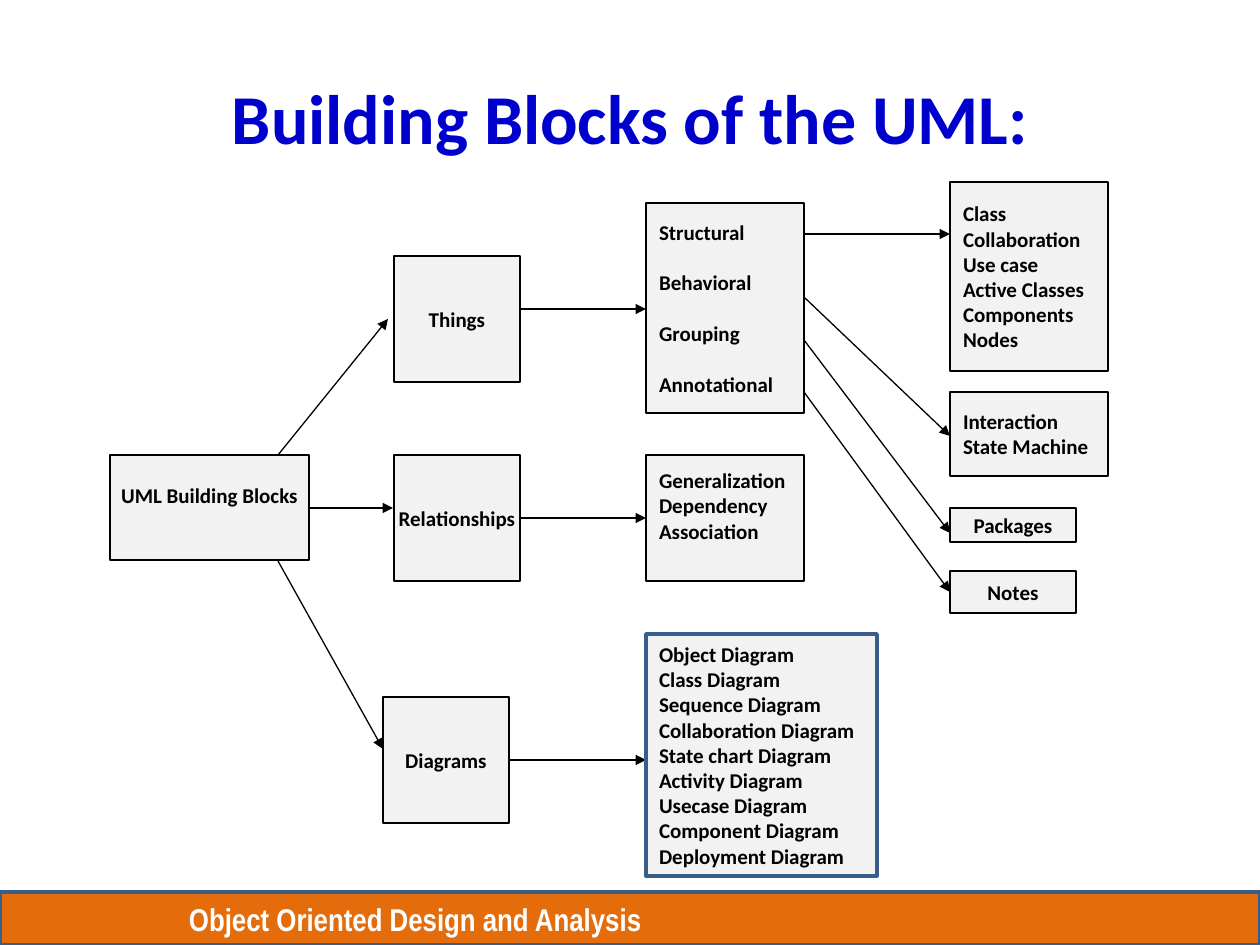
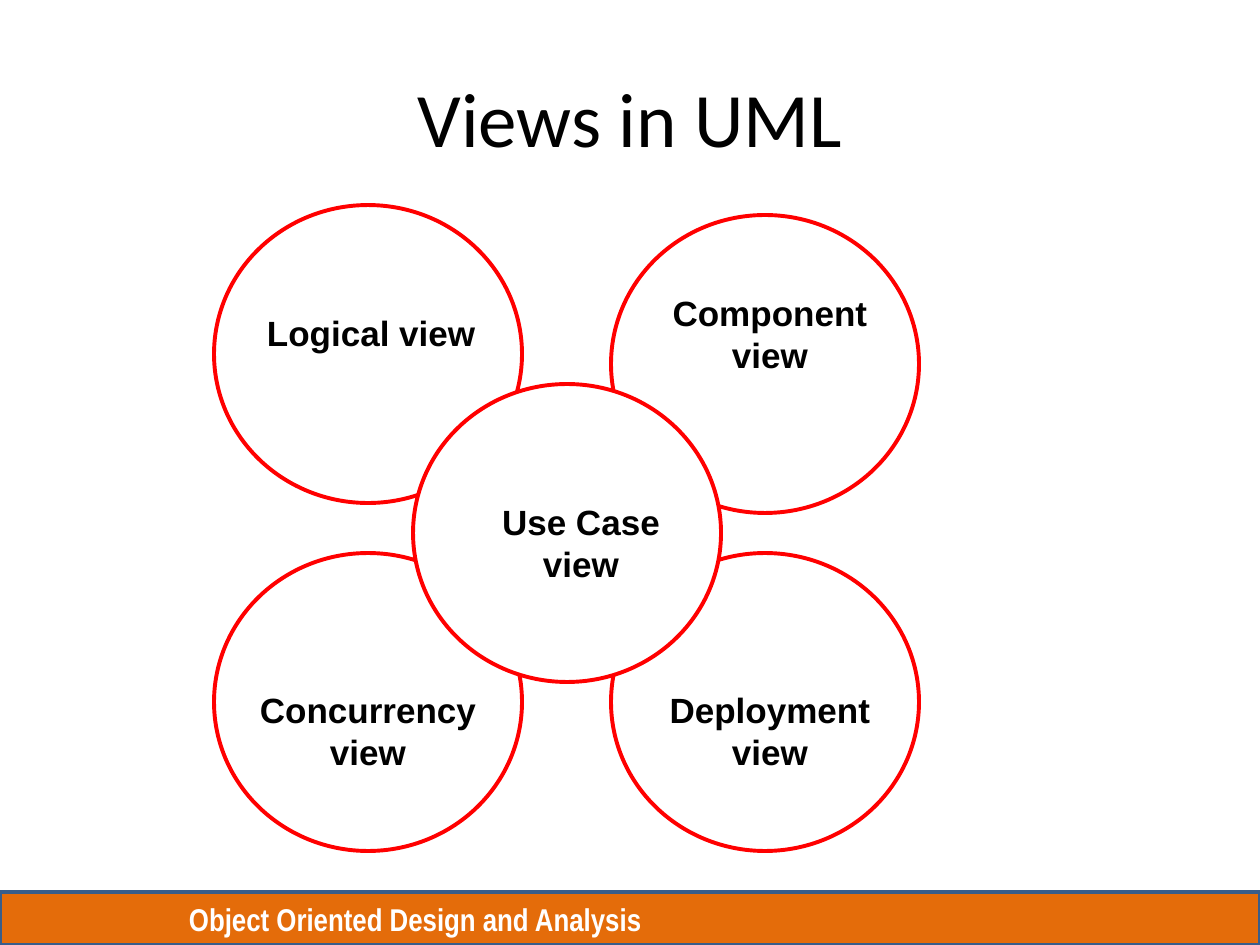
from lxml.etree import SubElement
from pptx import Presentation
from pptx.dml.color import RGBColor
from pptx.enum.shapes import MSO_CONNECTOR as CONN, MSO_SHAPE as SHAPE
from pptx.enum.text import MSO_ANCHOR as ANCHOR, PP_ALIGN as ALIGN
from pptx.oxml.ns import qn
from pptx.util import Pt

SCALE = 914400 / 126
BLACK, WHITE, RED, BLUE = "000000", "FFFFFF", "FF0000", "0000CC"
GREY, ORANGE, STEEL = "F2F2F2", "E46C0A", "385D8A"
LINE_HEIGHT = 25


def px(n):
    """Turn pixels into EMU."""
    return round(n * SCALE)


def rgb(color):
    """Turn a hex string into a colour."""
    return RGBColor.from_string(color)


def write(tf, text, size=12, font="Calibri", color=BLACK, bold=True,
          align=ALIGN.LEFT, anchor=ANCHOR.MIDDLE, gap=0, insets=(13, 6, 13, 6)):
    """Fill a text frame with one paragraph per line of text."""
    tf.word_wrap = True
    tf.vertical_anchor = anchor
    tf.margin_left, tf.margin_top, tf.margin_right, tf.margin_bottom = map(px, insets)
    for i, line in enumerate(text.split("\n")):
        p = tf.add_paragraph() if i else tf.paragraphs[0]
        p.alignment = align
        p.space_before = Pt(gap if i else 0)
        r = p.add_run()
        r.text = line
        r.font.size, r.font.name, r.font.bold = Pt(size), font, bold
        r.font.color.rgb = rgb(color)


def add_shape(slide, kind, box, fill, line, width):
    """Add a flat preset shape with the given fill and outline."""
    sp = slide.shapes.add_shape(kind, *map(px, box))
    sp.shadow.inherit = False
    if fill:
        sp.fill.solid()
        sp.fill.fore_color.rgb = rgb(fill)
    else:
        sp.fill.background()
    sp.line.color.rgb = rgb(line)
    sp.line.width = Pt(width)
    return sp


def add_arrow(slide, x1, y1, x2, y2):
    """Add a thin black arrow."""
    line = slide.shapes.add_connector(CONN.STRAIGHT, *map(px, (x1, y1, x2, y2)))
    line.line.color.rgb = rgb(BLACK)
    line.line.width = Pt(0.75)
    sp_pr = line.element.spPr
    SubElement(sp_pr.find(qn("a:ln")), qn("a:tailEnd"), type="triangle")
    SubElement(sp_pr, qn("a:effectLst"))


def add_title(slide, text, **fmt):
    """Place and fill the title placeholder."""
    title = slide.shapes.title
    title.left, title.top, title.width, title.height = map(px, (63, 38, 1134, 157))
    write(title.text_frame, text, align=ALIGN.CENTER, **fmt)


def add_footer(slide, box):
    """Draw the footer band and move it to the shared layout."""
    band = add_shape(slide, SHAPE.RECTANGLE, box, ORANGE, STEEL, 2)
    write(band.text_frame, "Object Oriented Design and Analysis", size=18,
          font="Arial Narrow", color=WHITE, insets=(189, 6, 13, 6))
    slide.slide_layout.element.cSld.spTree.insert(2, band.element)


def draw_blocks(slide, box):
    """Draw the tree of building blocks."""
    x0, y0 = box[:2]
    labels = [
        ("Things", 284, 74, 126, 126),
        ("Relationships", 284, 273, 126, 126),
        ("Diagrams", 273, 515, 126, 126),
        ("Packages", 840, 326, 126, 34),
        ("Notes", 840, 389, 126, 42),
    ]
    lists = [
        ("Class\nCollaboration\nUse case\nActive Classes\nComponents\nNodes",
         840, 0, 158, 189),
        ("Interaction\nState Machine", 840, 210, 158, 84),
    ]
    diagrams = "\n".join(f"{kind} Diagram" for kind in (
        "Object", "Class", "Sequence", "Collaboration", "State chart",
        "Activity", "Usecase", "Component", "Deployment"))
    arrows = [
        (199, 326, 283, 326), (410, 127, 536, 127), (694, 52, 840, 52),
        (694, 115, 840, 254), (694, 158, 840, 351), (694, 210, 840, 410),
        (410, 336, 536, 336), (399, 578, 536, 578),
        (168, 273, 278, 137), (168, 379, 273, 567),
    ]

    def block(text, x, y, w, h, line=BLACK, width=0.75, **fmt):
        """Add one grey block of text."""
        sp = add_shape(slide, SHAPE.RECTANGLE, (x0 + x, y0 + y, w, h), GREY, line, width)
        write(sp.text_frame, text, **fmt)

    raised = 6 + LINE_HEIGHT
    block("UML Building Blocks", 0, 273, 199, 105, align=ALIGN.CENTER,
          insets=(0, 6, 0, raised))
    for label in labels:
        block(*label, align=ALIGN.CENTER, insets=(0, 6, 0, 6))
    block("Structural\nBehavioral\nGrouping\nAnnotational", 536, 21, 158, 210, gap=14.6)
    block("Generalization\nDependency\nAssociation", 536, 273, 158, 126,
          insets=(13, 6, 0, raised))
    for names in lists:
        block(*names, insets=(13, 6, 0, 6))
    for x1, y1, x2, y2 in arrows:
        add_arrow(slide, x0 + x1, y0 + y1, x0 + x2, y0 + y2)
    block(diagrams, 536, 452, 231, 242, line=STEEL, width=2)


def draw_views(slide, box):
    """Draw four outer circles with the use case circle over them."""
    x0, y0 = box[:2]
    w, h = 308, 298
    views = [
        ("Concurrency view", 0, 348, 30, 129, 248, WHITE, ALIGN.CENTER),
        ("Deployment view", 397, 348, 40, 129, 238, None, ALIGN.CENTER),
        ("Logical view", 0, 0, 40, 100, 238, WHITE, ALIGN.LEFT),
        ("Component view", 397, 10, 40, 70, 238, WHITE, ALIGN.CENTER),
        ("Use Case view", 199, 179, 49, 110, 238, WHITE, ALIGN.CENTER),
    ]
    for text, x, y, dx, dy, text_w, fill, align in views:
        add_shape(slide, SHAPE.OVAL, (x0 + x, y0 + y, w, h), fill, RED, 2.25)
        text_h = 55 if align == ALIGN.LEFT else 97
        label = slide.shapes.add_textbox(
            *map(px, (x0 + x + dx, y0 + y + dy, text_w, text_h)))
        write(label.text_frame, text, size=20, font="Arial", align=align,
              anchor=ANCHOR.TOP)


def main():
    """Build and save the presentation."""
    prs = Presentation()
    prs.slide_width, prs.slide_height = px(1260), px(945)
    title_only = prs.slide_layouts[5]

    blocks = prs.slides.add_slide(title_only)
    add_footer(blocks, (0, 892, 1260, 53))
    add_title(blocks, "Building Blocks of the UML:", size=40, color=BLUE)
    draw_blocks(blocks, (110, 182, 998, 694))

    views = prs.slides.add_slide(title_only)
    add_title(views, "Views in UML", size=44, bold=False)
    draw_views(views, (214, 205, 705, 646))

    prs.save("out.pptx")


if __name__ == "__main__":
    main()
